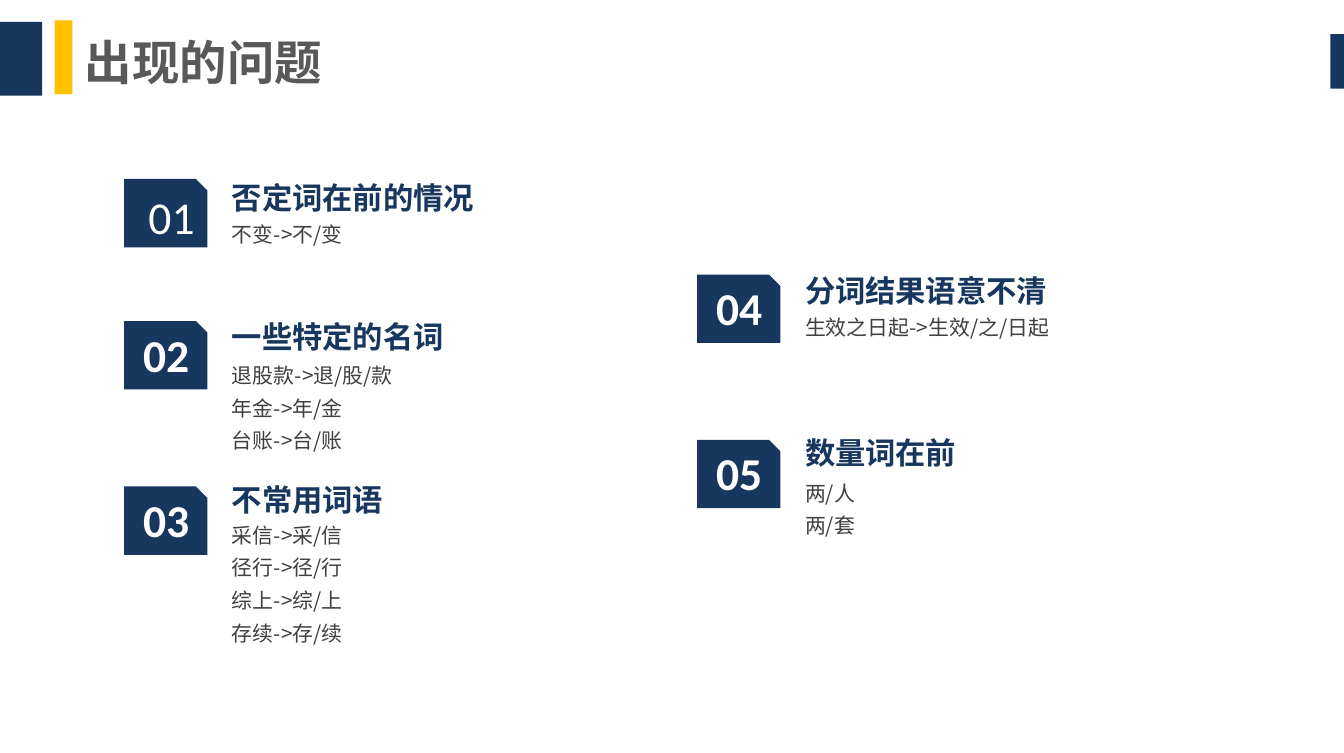
from lxml.etree import SubElement
from pptx import Presentation
from pptx.dml.color import RGBColor
from pptx.enum.shapes import MSO_SHAPE
from pptx.enum.text import MSO_ANCHOR
from pptx.oxml.ns import qn
from pptx.util import Pt

NAVY, GOLD, WHITE = "17375E", "FFC000", "FFFFFF"
TITLE_GREY, TEXT_GREY = "595959", "404040"
CJK_FONT = "Noto Sans CJK SC"
LEFT_COLUMN, RIGHT_COLUMN = 65.4, 367.5
BADGE_WIDTH, BADGE_HEIGHT, BADGE_CUT = 43.9, 36, 6

ITEMS = [
    dict(box=(LEFT_COLUMN, 94.3), number="01", heading="否定词在前的情况",
         examples=["不变->不/变"], number_offset=(5.8, 1.5),
         heading_rise=9.3, examples_drop=15.1, bold_number=False),
    dict(box=(LEFT_COLUMN, 169.2), number="02", heading="一些特定的名词",
         examples=["退股款->退/股/款", "年金->年/金", "台账->台/账"],
         heading_rise=10.8, examples_drop=14.4),
    dict(box=(LEFT_COLUMN, 256.3), number="03", heading="不常用词语",
         examples=["采信->采/信", "径行->径/行", "综上->综/上", "存续->存/续"],
         heading_rise=12.2, examples_drop=11.5),
    dict(box=(RIGHT_COLUMN, 144.7), number="04", heading="分词结果语意不清",
         examples=["生效之日起->生效/之/日起"],
         heading_rise=10.8, examples_drop=13.7),
    dict(box=(RIGHT_COLUMN, 231.8), number="05", heading="数量词在前",
         examples=["两/人", "两/套"],
         heading_rise=12.2, examples_drop=13.7),
]


def color(value):
    return RGBColor.from_string(value)


def paint(shape, fill):
    shape.shadow.inherit = False
    shape.fill.solid()
    shape.fill.fore_color.rgb = color(fill)
    shape.line.fill.background()


def add_bar(page, box, fill):
    bar = page.shapes.add_shape(MSO_SHAPE.RECTANGLE, *map(Pt, box))
    paint(bar, fill)


def add_text(shapes, box, lines, size, ink, font=CJK_FONT, bold=False,
             spacing=None, insets=(7.2, 3.6), anchor=MSO_ANCHOR.TOP):
    frame = shapes.add_textbox(*map(Pt, box)).text_frame
    frame.word_wrap = True
    frame.vertical_anchor = anchor
    frame.margin_left = frame.margin_right = Pt(insets[0])
    frame.margin_top = frame.margin_bottom = Pt(insets[1])
    for index, line in enumerate(lines):
        para = frame.add_paragraph() if index else frame.paragraphs[0]
        para.line_spacing = spacing
        span = para.add_run()
        span.text = line
        span.font.size = Pt(size)
        span.font.bold = bold
        span.font.color.rgb = color(ink)
        span.font.name = font
        east_asian = SubElement(span.font._element, qn("a:ea"))
        east_asian.set("typeface", CJK_FONT)


def add_badge(shapes, left, top):
    right, bottom = left + BADGE_WIDTH, top + BADGE_HEIGHT
    outline = [(right - BADGE_CUT, top), (right, top + BADGE_CUT),
               (right, bottom), (left, bottom)]
    builder = shapes.build_freeform(Pt(left), Pt(top))
    builder.add_line_segments([(Pt(x), Pt(y)) for x, y in outline], close=True)
    paint(builder.convert_to_shape(), NAVY)


def add_header(page, box):
    left, top, width, height = box
    add_bar(page, (left - 0.7, top + 0.7, 23, height), NAVY)
    add_bar(page, (left + 28.8, top, 9.4, height), GOLD)
    add_bar(page, (left + width - 7.2, top + 7.2, 10.8, 28.8), NAVY)
    add_text(page.shapes, (left + 44.8, top + 6.4, 265, 30.2), ["出现的问题"],
             25, TITLE_GREY, font="Calibri", bold=True, insets=(0, 0),
             anchor=MSO_ANCHOR.MIDDLE)


def add_item(page, box, number, heading, examples, heading_rise, examples_drop,
             number_offset=(3, -0.7), bold_number=True):
    left, top = box
    text_left = left + 49.8
    shapes = page.shapes.add_group_shape().shapes
    add_badge(shapes, left, top)
    add_text(shapes, (left + number_offset[0], top + number_offset[1], 42, 36),
             [number], 24, WHITE, font="Calibri", bold=bold_number)
    add_text(shapes, (text_left, top - heading_rise, 170, 32.4),
             [heading], 16, NAVY, bold=True, spacing=1.3)
    add_text(shapes, (text_left, top + examples_drop, 245.5, 7.2 + 17.3 * len(examples)),
             examples, 11, TEXT_GREY, spacing=1.3)


def main():
    deck = Presentation()
    deck.slide_width, deck.slide_height = Pt(708.5), Pt(396.7)
    page = deck.slides.add_slide(deck.slide_layouts[6])
    add_header(page, (0, 10.8, 708.5, 38.9))
    for item in ITEMS:
        add_item(page, **item)
    deck.save("out.pptx")


if __name__ == "__main__":
    main()
